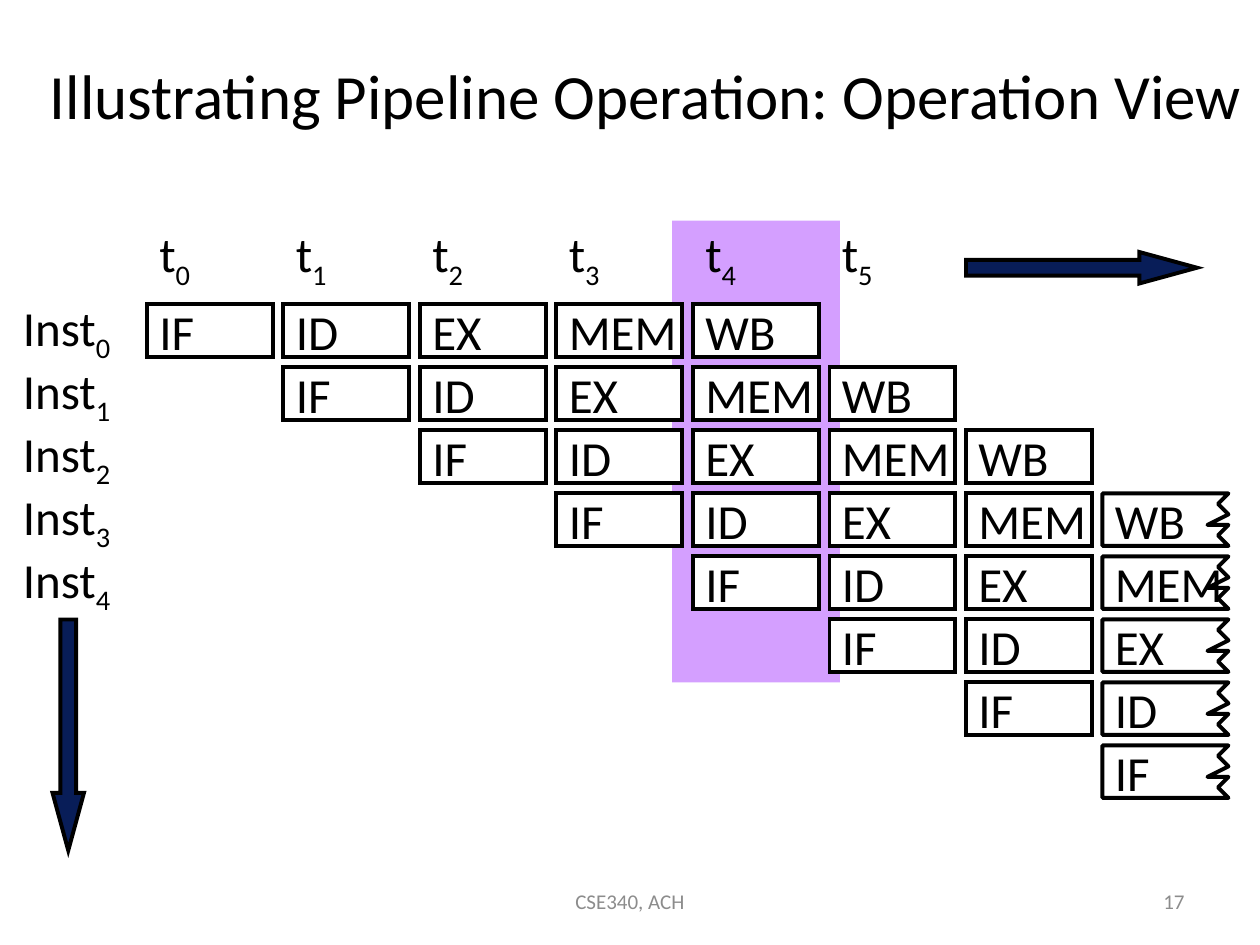
from dataclasses import dataclass

from lxml import etree
from pptx import Presentation
from pptx.dml.color import RGBColor
from pptx.enum.shapes import MSO_SHAPE
from pptx.enum.text import MSO_ANCHOR, PP_ALIGN
from pptx.oxml.ns import qn
from pptx.util import Pt

RECT, ARROW = MSO_SHAPE.RECTANGLE, MSO_SHAPE.RIGHT_ARROW
LEFT, CENTER, RIGHT = PP_ALIGN.LEFT, PP_ALIGN.CENTER, PP_ALIGN.RIGHT
MIDDLE = MSO_ANCHOR.MIDDLE


@dataclass(frozen=True)
class Theme:
    font: str = "Calibri"
    ink: str = "000000"
    paper: str = "FFFFFF"
    muted: str = "8C8C8C"
    band: str = "D49FFF"
    arrow: str = "081D58"
    title: int = 36
    body: int = 28
    footer: int = 12
    line: float = 2.25


T = Theme()
STAGES = ["IF", "ID", "EX", "MEM", "WB"]
COLS, ROWS, TIMES, LABELS = 8, 8, 6, 5
CELL_W, CELL_H = 72, 30
STEP_X, STEP_Y = 78, 36
TORN_EDGE = [(0, 0), (0, 30), (72, 30), (66, 24), (72, 18),
             (60, 18), (72, 12), (66, 6)]


def rgb(color):
    return RGBColor.from_string(color)


def pts(box):
    return [Pt(v) for v in box]


def write(sp, text, size=T.body, color=T.ink, align=LEFT, wrap=False, sub=""):
    tf = sp.text_frame
    tf.word_wrap = wrap
    tf.vertical_anchor = MIDDLE
    p = tf.paragraphs[0]
    p.alignment = align
    for part, baseline in ((text, None), (sub, "-25000")):
        if not part:
            continue
        r = p.add_run()
        r.text = part
        r.font.name = T.font
        r.font.size = Pt(size)
        r.font.color.rgb = rgb(color)
        if baseline:
            r._r.get_or_add_rPr().set("baseline", baseline)


def add_text(s, box, text, **style):
    write(s.shapes.add_textbox(*pts(box)), text, **style)


def outline(sp):
    sp.line.color.rgb = rgb(T.ink)
    sp.line.width = Pt(T.line)


def add_block(s, kind, box, fill, lined=False):
    sp = s.shapes.add_shape(kind, *pts(box))
    sp.shadow.inherit = False
    sp.fill.solid()
    sp.fill.fore_color.rgb = rgb(fill)
    if lined:
        outline(sp)
        ln = sp.line._get_or_add_ln()
        etree.SubElement(ln, qn("a:miter")).set("lim", "800000")
    else:
        sp.line.fill.background()
    return sp


def add_arrow(s, box, rotation=0):
    sp = add_block(s, ARROW, box, T.arrow, lined=True)
    sp.adjustments[0], sp.adjustments[1] = 0.5, 1.83
    sp.rotation = rotation


def add_torn_outline(s, x, y):
    fb = s.shapes.build_freeform(x + CELL_W, y, scale=Pt(1))
    fb.add_line_segments([(x + dx, y + dy) for dx, dy in TORN_EDGE], close=True)
    sp = fb.convert_to_shape()
    sp.shadow.inherit = False
    sp.fill.background()
    outline(sp)


def add_time_axis(s, x, y):
    for i in range(TIMES):
        add_text(s, (x + i * STEP_X, y, CELL_W, CELL_H), "t", sub=str(i))
    add_arrow(s, (x + TIMES * STEP_X, y + 12, 132, 18))


def add_instruction_axis(s, x, y):
    for i in range(LABELS):
        sp = add_block(s, RECT, (x, y + i * STEP_Y, CELL_W, CELL_H), T.paper)
        write(sp, "Inst", sub=str(i))
    add_arrow(s, (x - 33, y + 237, 132, 18), rotation=90)


def add_pipeline(s, x, y):
    for row in range(ROWS):
        for col, stage in zip(range(row, COLS), STAGES):
            left, top = x + col * STEP_X, y + row * STEP_Y
            torn = col == COLS - 1
            sp = add_block(s, RECT, (left, top, CELL_W, CELL_H), T.paper,
                           lined=not torn)
            write(sp, stage)
            if torn:
                add_torn_outline(s, left, top)


def add_footer(s, y):
    style = dict(size=T.footer, color=T.muted, wrap=True)
    add_text(s, (246, y, 228, 28.75), "CSE340, ACH", align=CENTER, **style)
    add_text(s, (516, y, 168, 28.75), "17", align=RIGHT, **style)


def main():
    prs = Presentation()
    prs.slide_width, prs.slide_height = Pt(720), Pt(540)
    s = prs.slides.add_slide(prs.slide_layouts[6])
    add_footer(s, 500.5)
    add_text(s, (18, 12, 702, 84),
             "Illustrating Pipeline Operation: Operation View",
             size=T.title, align=CENTER, wrap=True)
    add_block(s, RECT, (384, 126, 96, 264), T.band)
    add_time_axis(s, 84, 132)
    add_instruction_axis(s, 6, 174)
    add_pipeline(s, 84, 174)
    prs.save("out.pptx")


if __name__ == "__main__":
    main()
